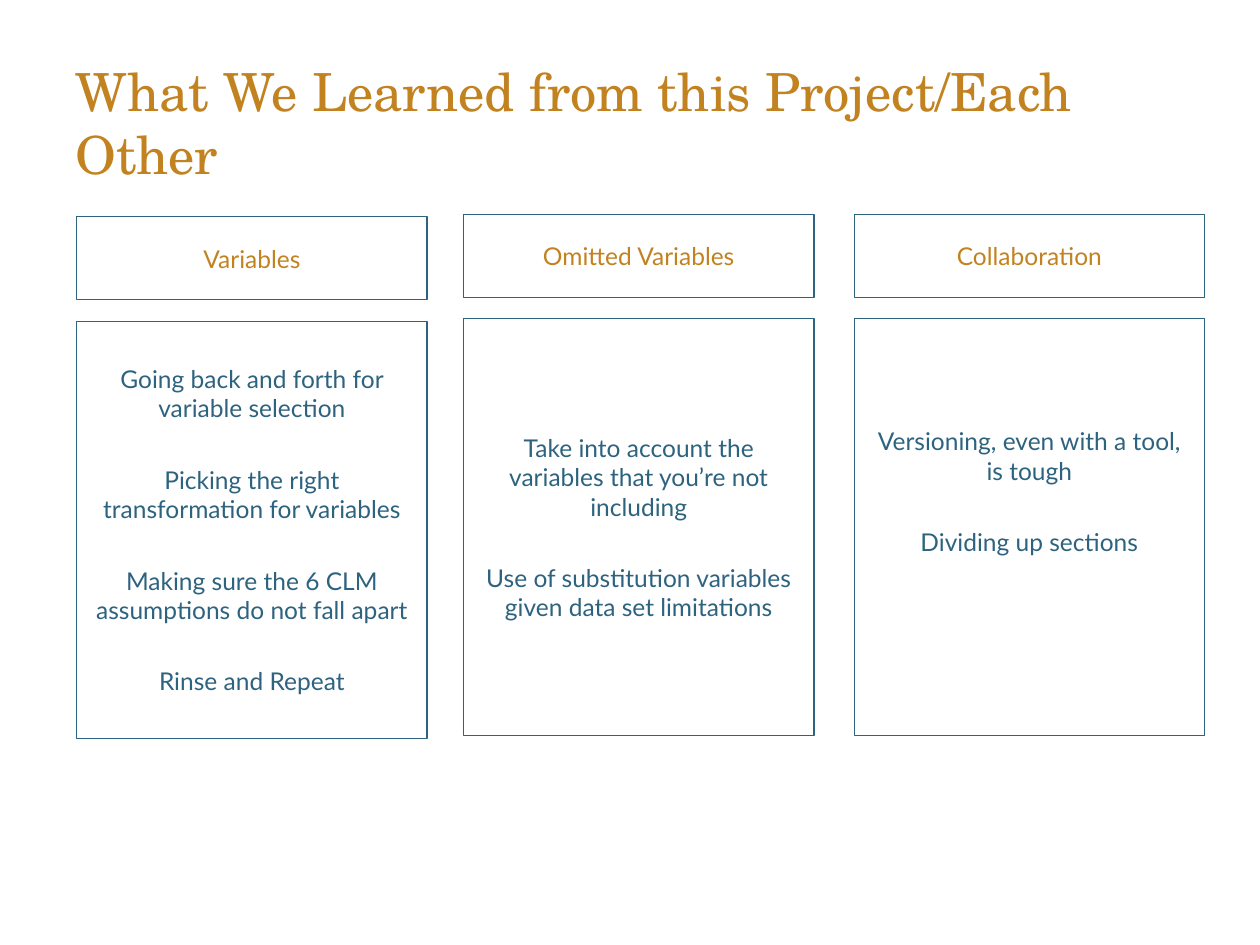
"""Build a slide of lessons learned in three columns."""
from pptx import Presentation
from pptx.dml.color import RGBColor
from pptx.enum.shapes import MSO_SHAPE as Shape
from pptx.enum.text import MSO_ANCHOR as Anchor, PP_ALIGN as Align
from pptx.util import Inches, Pt

COLORS = {"gold": "C28220", "blue": "2D637F"}
COLUMNS = [
    (0.61, 1.72, 0.05, "Variables", [
        "Going back and forth for variable selection",
        "Picking the right transformation for variables",
        "Making sure the 6 CLM assumptions do not fall apart",
        "Rinse and Repeat",
    ]),
    (3.68, 1.7, 0.05, "Omitted Variables", [
        "Take into account the variables that you’re not including",
        "Use of substitution variables given data set limitations",
    ]),
    (6.78, 1.7, 0.62, "Collaboration", [
        "Versioning, even with a tool, is tough",
        "Dividing up sections",
    ]),
]
BOX_WIDTH, HEADING_HEIGHT, LESSONS_HEIGHT = 2.78, 0.66, 3.31
LESSONS_OFFSET = 0.83


def style_text(para, font, size, color, align):
    para.alignment = align
    for span in para.runs:
        span.font.name = font
        span.font.size = Pt(size)
        span.font.color.rgb = RGBColor.from_string(COLORS[color])


def add_box(page, left, top, height, bottom_inset, lines, color):
    box = page.shapes.add_shape(
        Shape.RECTANGLE, Inches(left), Inches(top), Inches(BOX_WIDTH), Inches(height))
    box.shadow.inherit = False
    box.fill.background()
    box.line.color.rgb = RGBColor.from_string(COLORS["blue"])
    box.line.width = Pt(0.75)
    frame = box.text_frame
    frame.word_wrap = True
    frame.vertical_anchor = Anchor.MIDDLE
    frame.margin_bottom = Inches(bottom_inset)
    frame.text = "\n".join(lines)
    for number, para in enumerate(frame.paragraphs):
        para.space_before = Pt(24 if number else 3.6)
        style_text(para, "Lato", 14, color, Align.CENTER)


deck = Presentation()
deck.slide_width, deck.slide_height = Inches(10), Inches(7.5)
page = deck.slides.add_slide(deck.slide_layouts.get_by_name("Title Only"))

title = page.shapes.title
title.left, title.top = Inches(0.5), Inches(0.34)
title.width, title.height = Inches(8.49), Inches(1.26)
title.text_frame.text = "What We Learned from this Project/Each Other"
title.text_frame.vertical_anchor = Anchor.MIDDLE
style_text(title.text_frame.paragraphs[0], "TeX Gyre Schola", 30, "gold", Align.LEFT)

for left, top, bottom_inset, heading, lessons in COLUMNS:
    add_box(page, left, top, HEADING_HEIGHT, 0.05, [heading], "gold")
    add_box(page, left, top + LESSONS_OFFSET, LESSONS_HEIGHT, bottom_inset, lessons, "blue")

deck.save("out.pptx")
